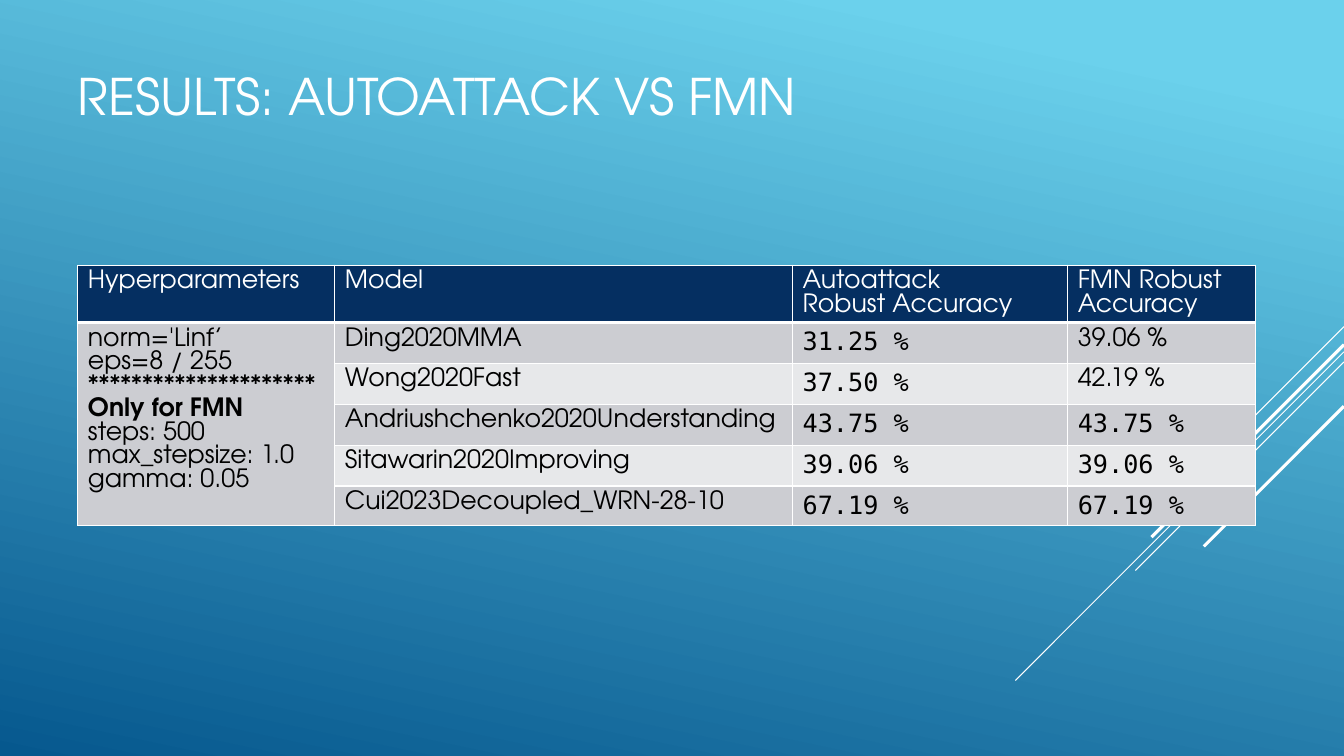
from lxml.etree import SubElement
from pptx import Presentation
from pptx.dml.color import RGBColor
from pptx.enum.shapes import MSO_CONNECTOR
from pptx.enum.text import MSO_ANCHOR, MSO_AUTO_SIZE, PP_ALIGN
from pptx.oxml.ns import qn
from pptx.util import Pt

WHITE, BLACK, NAVY = "FFFFFF", "000000", "052F61"
BANDS = ["CCCDD2", "E7E8EA"]
SANS, MONO = "TeX Gyre Adventor", "DejaVu Sans Mono"
EDGE = 960
RAYS = [(233.3, 72, 0.75), (251.3, 234.7, 0.75), (258.5, 149, 0.75),
        (246.2, 137.5, 2.25), (290.2, 100.1, 2.25)]
WIDTHS = [183.6, 326.9, 196.6, 133.9]
HEIGHTS = [40.7] + [29.25] * 4 + [28.2]
HEAD = ["Hyperparameters", "Model", "Autoattack\nRobust Accuracy",
        "FMN Robust Accuracy"]
PARAMS = """norm='Linf’
eps=8 / 255
*********************
Only for FMN
steps: 500
max_stepsize: 1.0
gamma: 0.05"""
SCORES = [
    ("Ding2020MMA", "31.25 %", "39.06 %", SANS),
    ("Wong2020Fast", "37.50 %", "42.19 %", SANS),
    ("Andriushchenko2020Understanding", "43.75 %", "43.75 %", MONO),
    ("Sitawarin2020Improving", "39.06 %", "39.06 %", MONO),
    ("Cui2023Decoupled_WRN-28-10", "67.19 %", "67.19 %", MONO),
]


def color(code):
    return RGBColor.from_string(code)


class Deck:
    """Holds the text style and the current slide."""

    def __init__(self, size):
        self.size = size
        self.file = Presentation()
        self.file.slide_width, self.file.slide_height = Pt(EDGE), Pt(540)
        self.slide = self.file.slides.add_slide(self.file.slide_layouts[5])

    def back(self, first, last, angle):
        fill = self.slide.background.fill
        fill.gradient()
        fill.gradient_angle = 360 - angle
        for stop, (place, code) in zip(fill.gradient_stops, (first, last)):
            stop.position = place
            stop.color.rgb = color(code)

    def text(self, frame, words, ink, font=SANS, size=None, strong=()):
        for index, line in enumerate(words.split("\n")):
            para = frame.paragraphs[0] if index == 0 else frame.add_paragraph()
            para.alignment = PP_ALIGN.LEFT
            run = para.add_run()
            run.text = line
            run.font.name = font
            run.font.size = Pt(size or self.size)
            run.font.bold = line in strong
            run.font.color.rgb = color(ink)

    def title(self, words, left, top, width, height):
        shape = self.slide.shapes.title
        shape.left, shape.top = Pt(left), Pt(top)
        shape.width, shape.height = Pt(width), Pt(height)
        frame = shape.text_frame
        frame.auto_size = MSO_AUTO_SIZE.NONE
        frame.vertical_anchor = MSO_ANCHOR.MIDDLE
        self.text(frame, words, WHITE, size=36)

    def ray(self, top, run, width):
        line = self.slide.shapes.add_connector(
            MSO_CONNECTOR.STRAIGHT, Pt(EDGE), Pt(top),
            Pt(EDGE - run), Pt(top + run))
        line.line.color.rgb = color(WHITE)
        line.line.width = Pt(width)
        SubElement(line._element.spPr, qn("a:effectLst"))

    def table(self, left, top, widths, heights):
        grid = self.slide.shapes.add_table(
            len(heights), len(widths), Pt(left), Pt(top),
            Pt(sum(widths)), Pt(sum(heights))).table
        grid.first_row = grid.horz_banding = False
        for column, width in zip(grid.columns, widths):
            column.width = Pt(width)
        for row, height in zip(grid.rows, heights):
            row.height = Pt(height)
        return grid

    def cell(self, cell, fill, above, below):
        props = cell._tc.get_or_add_tcPr()
        for side, width in zip("LRTB", (0.96, 0.96, above, below)):
            line = SubElement(props, qn("a:ln" + side), w=str(Pt(width)))
            solid = SubElement(line, qn("a:solidFill"))
            SubElement(solid, qn("a:srgbClr"), val=WHITE)
        cell.fill.solid()
        cell.fill.fore_color.rgb = color(fill)


def main():
    deck = Deck(18)
    deck.back((0.1, "6BD1EC"), (1, "06588E"), 102)
    for ray in RAYS:
        deck.ray(*ray)
    deck.title("RESULTS: AUTOATTACK VS FMN", 48.2, 8.6, 848.2, 118.8)

    grid = deck.table(55.6, 189.4, WIDTHS, HEIGHTS)
    for row in range(len(HEIGHTS)):
        for col in range(len(WIDTHS)):
            fill = BANDS[(row - 1) % 2] if row and col else BANDS[0]
            deck.cell(grid.cell(row, col), fill if row else NAVY,
                      3 if row == 1 else 0.96, 3 if row == 0 else 0.96)
    grid.cell(1, 0).merge(grid.cell(5, 0))

    for col, words in enumerate(HEAD):
        deck.text(grid.cell(0, col).text_frame, words, WHITE)
    deck.text(grid.cell(1, 0).text_frame, PARAMS, BLACK,
              strong=["Only for FMN"])
    for row, (model, auto, fmn, font) in enumerate(SCORES, 1):
        parts = [(model, SANS), (auto, MONO), (fmn, font)]
        for col, (words, face) in enumerate(parts, 1):
            deck.text(grid.cell(row, col).text_frame, words, BLACK, face)
    deck.file.save("out.pptx")


if __name__ == "__main__":
    main()
